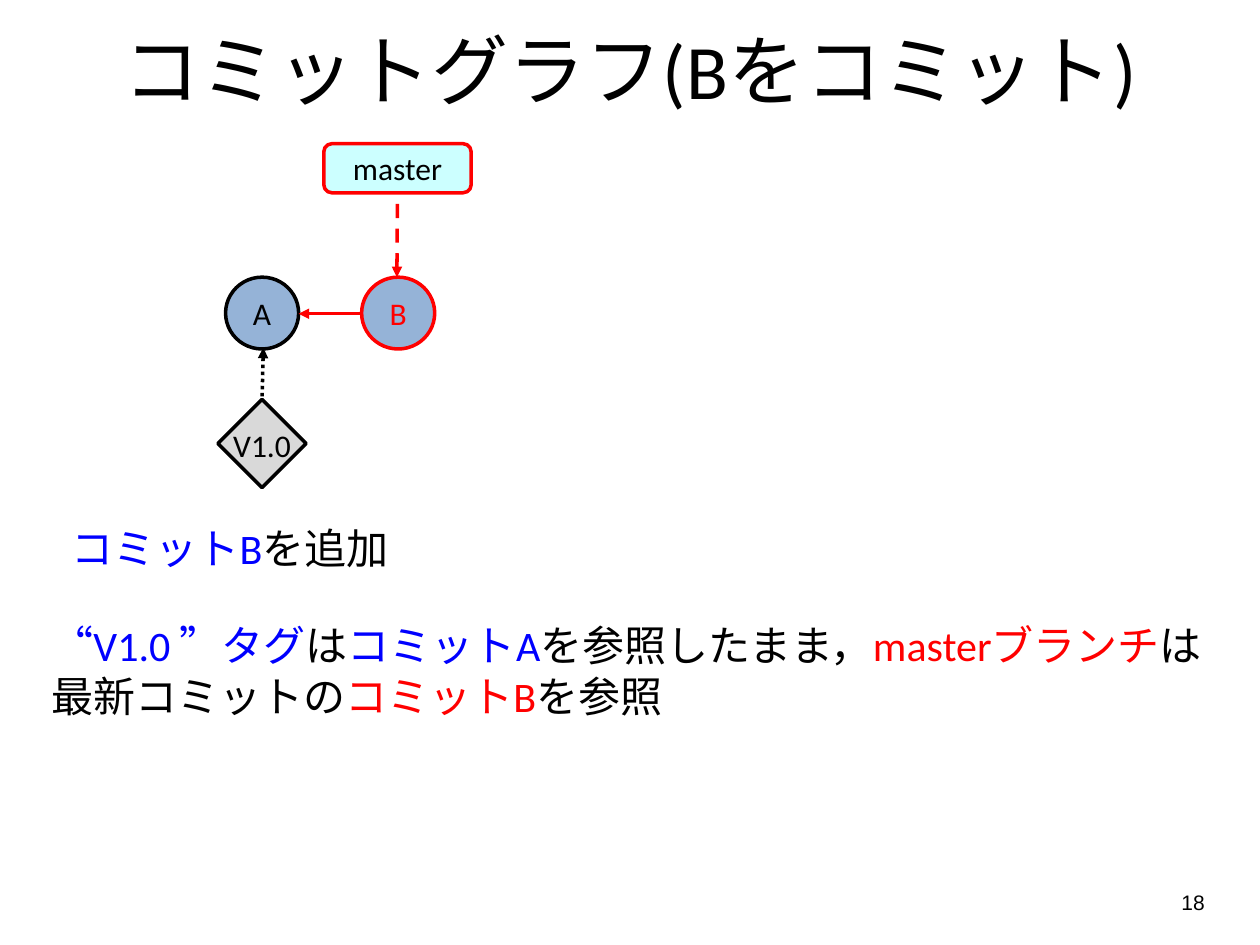
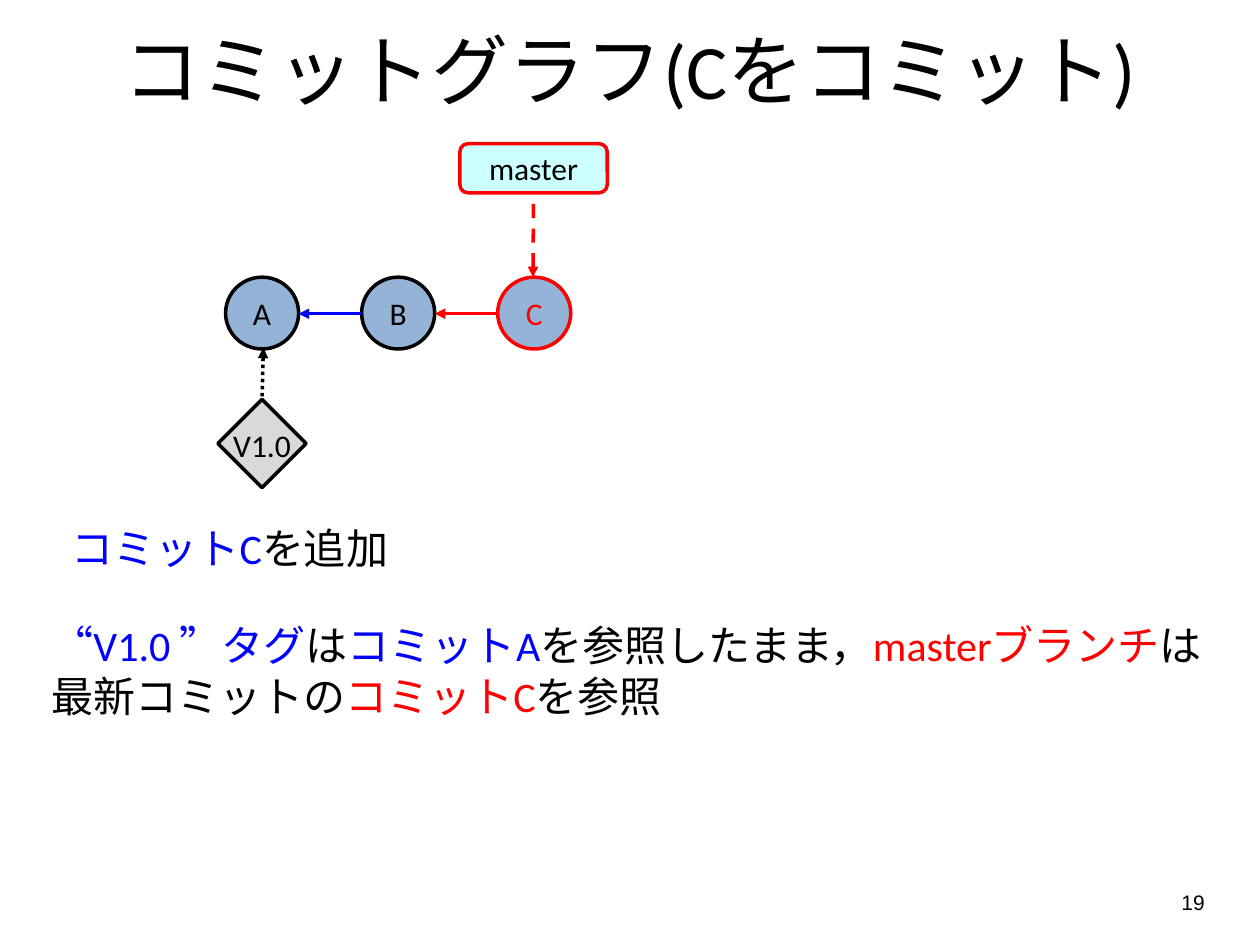
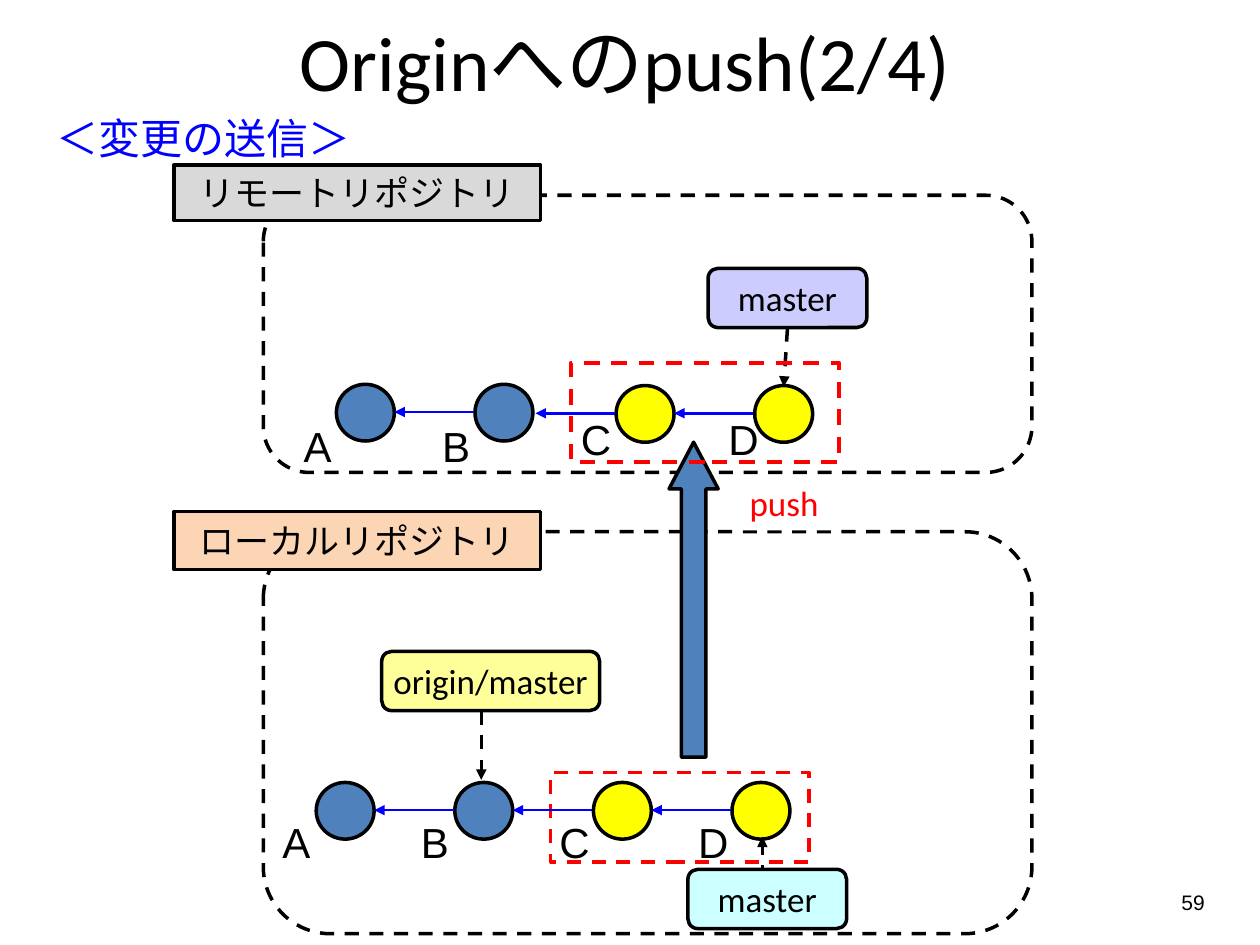
from lxml import etree
from pptx import Presentation
from pptx.dml.color import RGBColor
from pptx.enum.dml import MSO_LINE
from pptx.enum.shapes import MSO_CONNECTOR, MSO_SHAPE
from pptx.enum.text import MSO_ANCHOR, MSO_AUTO_SIZE, PP_ALIGN
from pptx.oxml.ns import qn
from pptx.util import Inches, Pt

BLACK = RGBColor(0, 0, 0)
WHITE = RGBColor(255, 255, 255)
RED = RGBColor(255, 0, 0)
BLUE = RGBColor(0, 0, 255)
GREY = RGBColor(0xD9, 0xD9, 0xD9)
PALE = RGBColor(0x95, 0xB3, 0xD7)
STEEL = RGBColor(0x4F, 0x81, 0xBD)
YELLOW = RGBColor(255, 255, 0)
CREAM = RGBColor(255, 255, 0x99)
CYAN = RGBColor(0xCC, 255, 255)
LILAC = RGBColor(0xCC, 0xCC, 255)
PEACH = RGBColor(0xFC, 0xD5, 0xB5)

RECT, ROUND = MSO_SHAPE.RECTANGLE, MSO_SHAPE.ROUNDED_RECTANGLE
OVAL, DIAMOND, ARROW = MSO_SHAPE.OVAL, MSO_SHAPE.DIAMOND, MSO_SHAPE.UP_ARROW
DASH, DOT = MSO_LINE.DASH, MSO_LINE.ROUND_DOT
LEFT, CENTER, RIGHT = PP_ALIGN.LEFT, PP_ALIGN.CENTER, PP_ALIGN.RIGHT
TOP, MIDDLE = MSO_ANCHOR.TOP, MSO_ANCHOR.MIDDLE
BODY, LATIN = "Calibri", "Arial"
TITLE_BOX = (0, -0.08, 10, 1.25)
STEP = 1.08


def inches(box):
    return [Inches(value) for value in box]


def write(frame, paras, size, font=BODY, align=LEFT, anchor=TOP, wrap=True):
    """Fill a frame with paragraphs, each a list of (text, colour) runs."""
    frame.word_wrap = wrap
    frame.vertical_anchor = anchor
    for i, runs in enumerate(paras):
        para = frame.add_paragraph() if i else frame.paragraphs[0]
        para.alignment = align
        for text, color in runs:
            run = para.add_run()
            run.text = text
            run.font.size = Pt(size)
            run.font.name = font
            run.font.color.rgb = color


def note(slide, box, paras, size=24, pad=None, **style):
    frame = slide.shapes.add_textbox(*inches(box)).text_frame
    if pad is not None:
        frame.margin_left = frame.margin_right = Inches(pad)
        frame.margin_top = frame.margin_bottom = Inches(pad)
    write(frame, paras, size, **style)


def pen(line, color, width, dash):
    line.color.rgb = color
    line.width = Pt(width)
    if dash:
        line.dash_style = dash


def draw(slide, kind, box, fill=None, line=BLACK, width=2, dash=None):
    shape = slide.shapes.add_shape(kind, *inches(box))
    shape.shadow.inherit = False
    if fill is None:
        shape.fill.background()
    else:
        shape.fill.solid()
        shape.fill.fore_color.rgb = fill
    pen(shape.line, line, width, dash)
    return shape


def label(slide, kind, box, text, fill, size, line=BLACK, color=BLACK, font=BODY):
    """Draw a shape with one centred line of text."""
    shape = draw(slide, kind, box, fill, line)
    write(shape.text_frame, [[(text, color)]], size, font, CENTER, MIDDLE, False)
    return shape


def link(slide, start, end, color=BLACK, width=2, dash=None, tip="headEnd"):
    """Draw an arrow with its tip at the start (headEnd) or end (tailEnd)."""
    wire = slide.shapes.add_connector(
        MSO_CONNECTOR.STRAIGHT, *inches(start), *inches(end))
    pen(wire.line, color, width, dash)
    props = wire.line._get_or_add_ln()
    etree.SubElement(props, qn("a:" + tip), type="triangle")
    etree.SubElement(wire._element.spPr, qn("a:effectLst"))
    return wire


def start_slide(deck, title, number, box=TITLE_BOX):
    slide = deck.slides.add_slide(deck.slide_layouts[5])
    head = slide.shapes.title
    head.left, head.top, head.width, head.height = inches(box)
    write(head.text_frame, [[(title, BLACK)]], 44, align=CENTER, anchor=MIDDLE)
    head.text_frame.auto_size = MSO_AUTO_SIZE.NONE
    note(slide, (7.33, 6.9, 2.33, 0.52), [[(str(number), BLACK)]], 12,
         font=LATIN, align=RIGHT, anchor=MIDDLE)
    return slide


def commit_slide(deck, names, number):
    """Show a chain of commits, the last of which is new."""
    new = names[-1]
    slide = start_slide(deck, f"コミットグラフ({new}をコミット)", number)
    note(slide, (0.31, 4.87, 9.45, 0.91), [
        [("“V1.0 ”タグ", BLUE), ("は", BLACK), ("コミットA", BLUE),
         ("を参照したまま，", BLACK), ("masterブランチ", RED), ("は", BLACK)],
        [("最新コミットの", BLACK), (f"コミット{new}", RED), ("を参照", BLACK)]])
    note(slide, (0.47, 4.1, 4.92, 0.51),
         [[(f"コミット{new}", BLUE), ("を追加", BLACK)]])

    tag = draw(slide, DIAMOND, (1.73, 3.17, 0.7, 0.7), GREY)
    note(slide, (1.73, 3.33, 0.7, 0.4), [[("V1.0", BLACK)]], 18, align=CENTER)
    link(slide, (2.09, 2.76), (2.08, 3.17), dash=DOT).end_connect(tag, 0)

    for i, name in enumerate(names):
        x = 1.79 + i * STEP
        fresh = name == new
        ink = RED if fresh else BLACK
        label(slide, OVAL, (x, 2.2, 0.58, 0.57), name, PALE, 18, ink, ink)
        if i:
            link(slide, (x - 0.5, 2.49), (x, 2.49), RED if fresh else BLUE)
    mid = x + 0.28
    head = label(slide, ROUND, (mid - 0.58, 1.14, 1.17, 0.39),
                 "master", CYAN, 18, RED)
    link(slide, (mid, 2.2), (mid, 1.53), RED, dash=DASH).end_connect(head, 2)


def chain(slide, spots):
    """Draw commits from (name, left, top, name left, name top)."""
    for i, (name, x, y, left, top) in enumerate(spots):
        draw(slide, OVAL, (x, y, 0.46, 0.45), STEEL if name in "AB" else YELLOW)
        if i:
            link(slide, (x - 0.64, y + 0.22), (x - 0.01, y + 0.22), BLUE, 1.5)
        note(slide, (left, top, 0.32, 0.4), [[(name, BLACK)]],
             pad=0, font=LATIN, anchor=MIDDLE)


def push_slide(deck):
    slide = start_slide(deck, "Originへのpush(2/4)", 59, (0.39, 0, 9.14, 0.97))
    note(slide, (0.35, 0.84, 6.14, 0.5), [[("＜変更の送信＞", BLUE)]])

    for top, height in ((1.55, 2.2), (4.22, 3.19)):
        draw(slide, ROUND, (2.09, top, 6.1, height), dash=DASH)
    draw(slide, RECT, (4.37, 6.13, 2.05, 0.71), line=RED, dash=DASH)

    far = label(slide, ROUND, (5.62, 2.13, 1.26, 0.47), "master", LILAC, 20)
    link(slide, (6.25, 2.6), (6.22, 3.07), dash=DASH,
         tip="tailEnd").begin_connect(far, 2)
    chain(slide, [("A", 2.67, 3.05, 2.41, 3.34), ("B", 3.77, 3.05, 3.51, 3.34),
                  ("C", 4.89, 3.06, 4.61, 3.28), ("D", 5.99, 3.06, 5.78, 3.28)])
    chain(slide, [(name, 2.51 + i * 1.1, 6.21, 2.24 + i * 1.1, 6.48)
                  for i, name in enumerate("ABCD")])

    link(slide, (6.05, 6.98), (6.05, 6.64), dash=DASH, tip="tailEnd")
    label(slide, ROUND, (5.46, 6.9, 1.26, 0.47), "master", CYAN, 20)
    label(slide, ROUND, (3.03, 5.17, 1.73, 0.47), "origin/master", CREAM, 20)
    link(slide, (3.82, 5.64), (3.82, 6.19), dash=DASH, tip="tailEnd")

    arrow = draw(slide, ARROW, (5.31, 3.51, 0.39, 2.5), STEEL)
    arrow.adjustments[0] = 0.5
    arrow.adjustments[1] = 0.95
    push = draw(slide, RECT, (5.85, 3.77, 0.81, 0.44), WHITE)
    push.line.fill.background()
    write(push.text_frame, [[("push", RED)]], 20, wrap=False)
    draw(slide, RECT, (4.53, 2.88, 2.13, 0.79), line=RED, width=2.25, dash=DASH)

    for top, height, text, fill in ((1.31, 0.44, "リモートリポジトリ", GREY),
                                    (4.06, 0.46, "ローカルリポジトリ", PEACH)):
        label(slide, RECT, (1.38, top, 2.91, height), text, fill, 20, font=LATIN)


def main():
    deck = Presentation()
    deck.slide_width, deck.slide_height = Inches(10), Inches(7.5)
    commit_slide(deck, "AB", 18)
    commit_slide(deck, "ABC", 19)
    push_slide(deck)
    deck.save("out.pptx")


if __name__ == "__main__":
    main()
